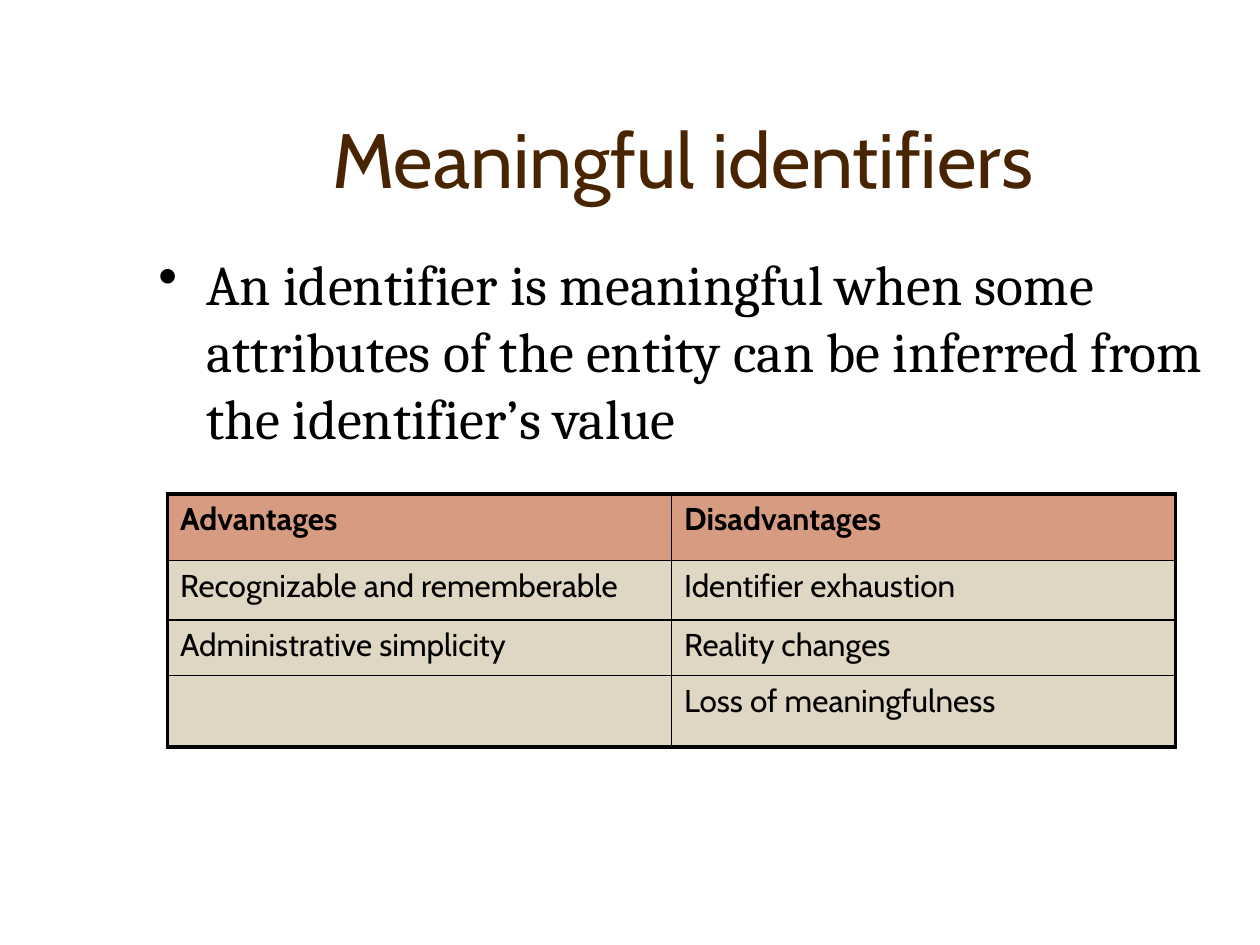
"""Build a slide on meaningful identifiers with a table of pros and cons."""
import dataclasses
import typing

import lxml.etree
import pptx
import pptx.dml.color
import pptx.enum.text
import pptx.oxml.ns
import pptx.util

Inches = pptx.util.Inches
qn = pptx.oxml.ns.qn
BLACK = "000000"
THIN, THICK = 1, 2.25


@dataclasses.dataclass
class Row:
    """A table row with its height, texts and look."""
    height: float
    texts: tuple[str, str]
    fill: str = "DFD6C3"
    bold: bool = False


ROWS = [
    Row(0.53, ("Advantages", "Disadvantages"), "D69B80", True),
    Row(0.47, ("Recognizable and rememberable", "Identifier exhaustion")),
    Row(0.44, ("Administrative simplicity", "Reality changes")),
    Row(0.57, ("", "Loss of meaningfulness")),
]


def color(code: str) -> pptx.dml.color.RGBColor:
    """Turn a hex string into a colour."""
    return pptx.dml.color.RGBColor.from_string(code)


def add_node(root: typing.Any, tag: str, **attrs: str) -> typing.Any:
    """Append an XML child with attributes."""
    return lxml.etree.SubElement(root, qn(tag), attrs)


def put_text(frame: typing.Any, text: str, *, size: float, font: str = "Cabin",
             tint: str = BLACK, bold: bool = False, center: bool = False,
             before: int = 0, bullet: str = "", indent: float = 0) -> None:
    """Write one formatted paragraph into a text frame."""
    frame.word_wrap = True
    para = frame.paragraphs[0]
    align = pptx.enum.text.PP_ALIGN
    para.alignment = align.CENTER if center else align.LEFT
    props = para._p.get_or_add_pPr()
    if before:
        space = add_node(props, "a:spcBef")
        add_node(space, "a:spcPct", val=str(before * 1000))
    if bullet:
        props.set("marL", str(Inches(indent)))
        props.set("indent", str(-Inches(indent)))
        add_node(props, "a:buChar", char=bullet)
    run = para.add_run()
    run.text = text
    run.font.size = pptx.util.Pt(size)
    run.font.name = font
    run.font.bold = bold
    run.font.color.rgb = color(tint)


def set_edges(cell: typing.Any, widths: dict[str, float]) -> None:
    """Draw the cell borders, given widths in points by side."""
    props = cell._tc.get_or_add_tcPr()
    for spot, (side, width) in enumerate(widths.items()):
        line = add_node(props, f"a:ln{side}", w=str(pptx.util.Pt(width)))
        add_node(add_node(line, "a:solidFill"), "a:srgbClr", val=BLACK)
        props.insert(spot, line)


def add_grid(slide: typing.Any, rows: list[Row]) -> None:
    """Add the table with a thick frame and thin inner lines."""
    high = sum(row.height for row in rows)
    table = slide.shapes.add_table(len(rows), 2, Inches(1.33), Inches(3.92),
                                   Inches(8), Inches(high)).table
    table.first_row = table.horz_banding = False
    last = len(rows) - 1
    for r, row in enumerate(rows):
        table.rows[r].height = Inches(row.height)
        for c, text in enumerate(row.texts):
            cell = table.cell(r, c)
            cell.fill.solid()
            cell.fill.fore_color.rgb = color(row.fill)
            set_edges(cell, {
                "L": THICK if c == 0 else THIN,
                "R": THICK if c == 1 else THIN,
                "T": THICK if r == 0 else THIN,
                "B": THICK if r == last else THIN,
            })
            if text:
                put_text(cell.text_frame, text, size=18, bold=row.bold, before=20)


def main() -> None:
    """Build and save the slide."""
    deck = pptx.Presentation()
    deck.slide_width, deck.slide_height = Inches(10), Inches(7.5)
    slide = deck.slides.add_slide(deck.slide_layouts[5])
    title = slide.shapes.title
    title.left, title.top = Inches(1.17), Inches(0.42)
    title.width, title.height = Inches(8.5), Inches(1.25)
    title.text_frame.auto_size = pptx.enum.text.MSO_AUTO_SIZE.NONE
    title.text_frame.vertical_anchor = pptx.enum.text.MSO_ANCHOR.BOTTOM
    put_text(title.text_frame, "Meaningful identifiers", size=44,
             tint="482400", center=True)
    body = slide.shapes.add_textbox(Inches(1.16), Inches(1.93),
                                    Inches(8.5), Inches(4.5))
    put_text(body.text_frame,
             "An identifier is meaningful when some attributes of the entity "
             "can be inferred from the identifier’s value",
             size=32, font="Cambria", before=20, bullet="•", indent=0.38)
    add_grid(slide, ROWS)
    deck.save("out.pptx")


if __name__ == "__main__":
    main()
